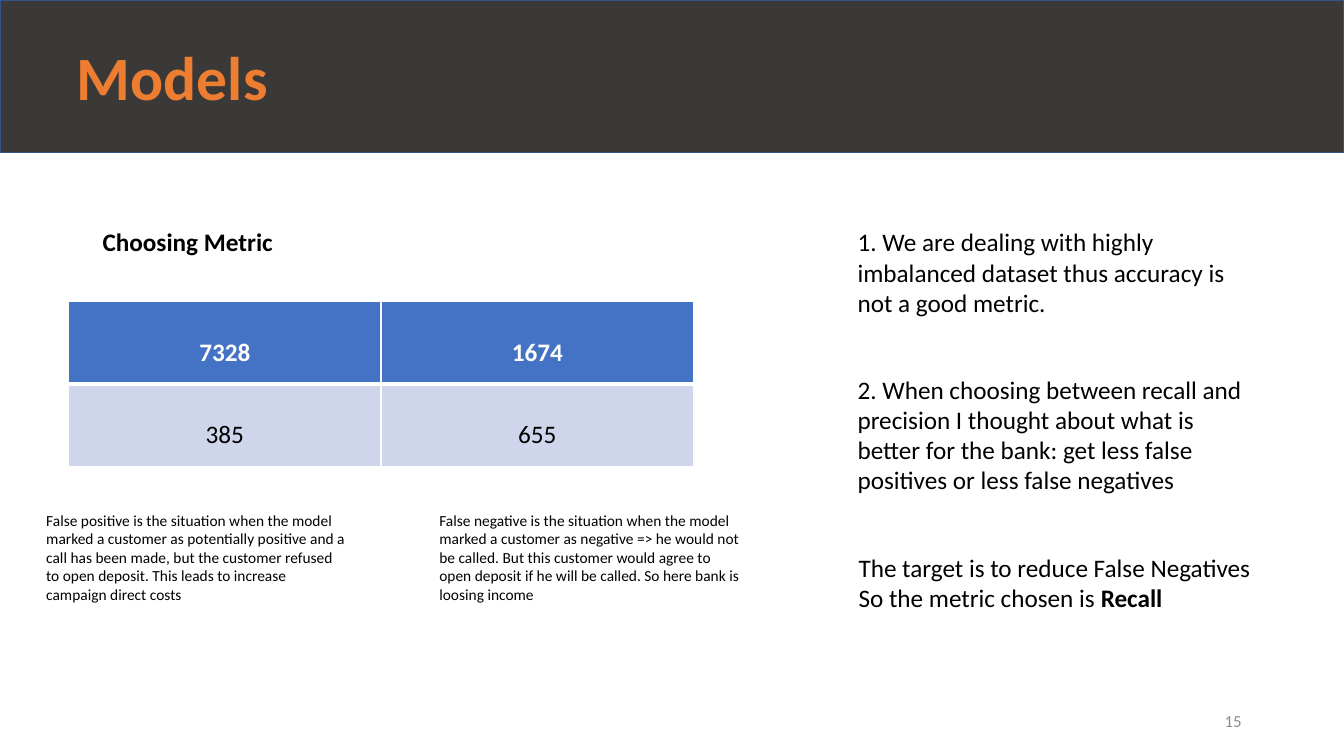
from lxml import etree
from pptx import Presentation
from pptx.dml.color import RGBColor
from pptx.enum.shapes import MSO_SHAPE
from pptx.enum.text import MSO_ANCHOR, PP_ALIGN
from pptx.oxml.ns import qn
from pptx.util import Pt

RECT = MSO_SHAPE.RECTANGLE
MIDDLE = MSO_ANCHOR.MIDDLE
LEFT, CENTER, RIGHT = PP_ALIGN.LEFT, PP_ALIGN.CENTER, PP_ALIGN.RIGHT

FONT = "Calibri"
BLACK = RGBColor(0x00, 0x00, 0x00)
WHITE = RGBColor(0xFF, 0xFF, 0xFF)
GREY = RGBColor(0x8C, 0x8C, 0x8C)
CHARCOAL = RGBColor(0x3B, 0x38, 0x38)
ORANGE = RGBColor(0xED, 0x7D, 0x31)
NAVY = RGBColor(0x32, 0x54, 0x91)
BLUE = RGBColor(0x44, 0x72, 0xC4)
PALE_BLUE = RGBColor(0xCF, 0xD5, 0xEA)

SLIDE_W, SLIDE_H = 960, 540
CONFUSION = [("7328", "1674"), ("385", "655")]
REASONS = [
    (158.4, "1. We are dealing with highly imbalanced dataset thus accuracy is "
            "not a good metric."),
    (263.5, "2. When choosing between recall and precision I thought about what "
            "is better for the bank: get less false positives or less false "
            "negatives"),
]
ERROR_NOTES = [
    (25.9, "False positive is the situation when the model marked a customer as "
           "potentially positive and a call has been made, but the customer "
           "refused to open deposit. This leads to increase campaign direct costs"),
    (306.7, "False negative is the situation when the model marked a customer as "
            "negative => he would not be called. But this customer would agree to "
            "open deposit if he will be called. So here bank is loosing income"),
]


def style_run(r, size, color=BLACK, bold=False):
    """Set the font of one run."""
    r.font.name = FONT
    r.font.size = Pt(size)
    r.font.color.rgb = color
    r.font.bold = bold


def style_text(tf, size, color=BLACK, bold=False, align=LEFT, spacing=None):
    """Format every paragraph and run of a text frame."""
    for p in tf.paragraphs:
        p.alignment = align
        p.line_spacing = spacing
        for r in p.runs:
            style_run(r, size, color, bold)


def add_text(s, x, y, w, h, text, size=18, color=BLACK, bold=False, align=LEFT):
    """Add a wrapping text box and return its text frame."""
    tf = s.shapes.add_textbox(Pt(x), Pt(y), Pt(w), Pt(h)).text_frame
    tf.word_wrap = True
    tf.text = text
    style_text(tf, size, color, bold, align)
    return tf


def add_banner(s, text):
    """Add the dark title band across the top."""
    sp = s.shapes.add_shape(RECT, 0, 0, Pt(SLIDE_W), Pt(109))
    sp.shadow.inherit = False
    sp.fill.solid()
    sp.fill.fore_color.rgb = CHARCOAL
    sp.line.color.rgb = NAVY
    sp.line.width = Pt(1)
    tf = sp.text_frame
    tf.margin_left = Pt(55)
    tf.vertical_anchor = MIDDLE
    tf.text = text
    style_text(tf, 44, ORANGE, True)


def set_borders(cell, widths, color):
    """Draw cell borders given widths for left, right, top and bottom."""
    tc_pr = cell._tc.get_or_add_tcPr()
    for i, (side, width) in enumerate(zip("LRTB", widths)):
        ln = etree.Element(qn(f"a:ln{side}"), w=str(Pt(width)))
        fill = etree.SubElement(ln, qn("a:solidFill"))
        etree.SubElement(fill, qn("a:srgbClr"), val=str(color))
        tc_pr.insert(i, ln)


def add_matrix(s, x, y, w, h, rows):
    """Add the confusion matrix with a highlighted first row."""
    table = s.shapes.add_table(
        len(rows), len(rows[0]), Pt(x), Pt(y), Pt(w), Pt(h)).table
    for i, row in enumerate(rows):
        head = i == 0
        for j, value in enumerate(row):
            cell = table.cell(i, j)
            cell.fill.solid()
            cell.fill.fore_color.rgb = BLUE if head else PALE_BLUE
            cell.text = value
            style_text(cell.text_frame, 18, WHITE if head else BLACK, head,
                       CENTER, 2.0)
            set_borders(cell, (1, 1, 1 if head else 3, 3 if head else 1), WHITE)


def add_conclusion(s, x, y, w, h):
    """Add the closing statement with the chosen metric in bold."""
    tf = add_text(s, x, y, w, h, "The target is to reduce False Negatives\n"
                                 "So the metric chosen is ")
    r = tf.paragraphs[1].add_run()
    r.text = "Recall"
    style_run(r, 18, bold=True)


def main():
    """Build and save the slide."""
    prs = Presentation()
    prs.slide_width, prs.slide_height = Pt(SLIDE_W), Pt(SLIDE_H)
    s = prs.slides.add_slide(prs.slide_layouts[6])
    add_banner(s, "Models")
    number = add_text(s, 678, 500.5, 216, 28.75, "15", 12, GREY, align=RIGHT)
    number.vertical_anchor = MIDDLE
    add_matrix(s, 49, 215.3, 446.4, 118, CONFUSION)
    add_text(s, 66.2, 158.4, 480, 29, "Choosing Metric", bold=True)
    for y, reason in REASONS:
        add_text(s, 605.5, y, 288.5, 73, reason)
    for x, note in ERROR_NOTES:
        add_text(s, x, 361.5, 229, 74, note, 11)
    add_conclusion(s, 606.2, 391, 302.4, 51)
    prs.save("out.pptx")


if __name__ == "__main__":
    main()
